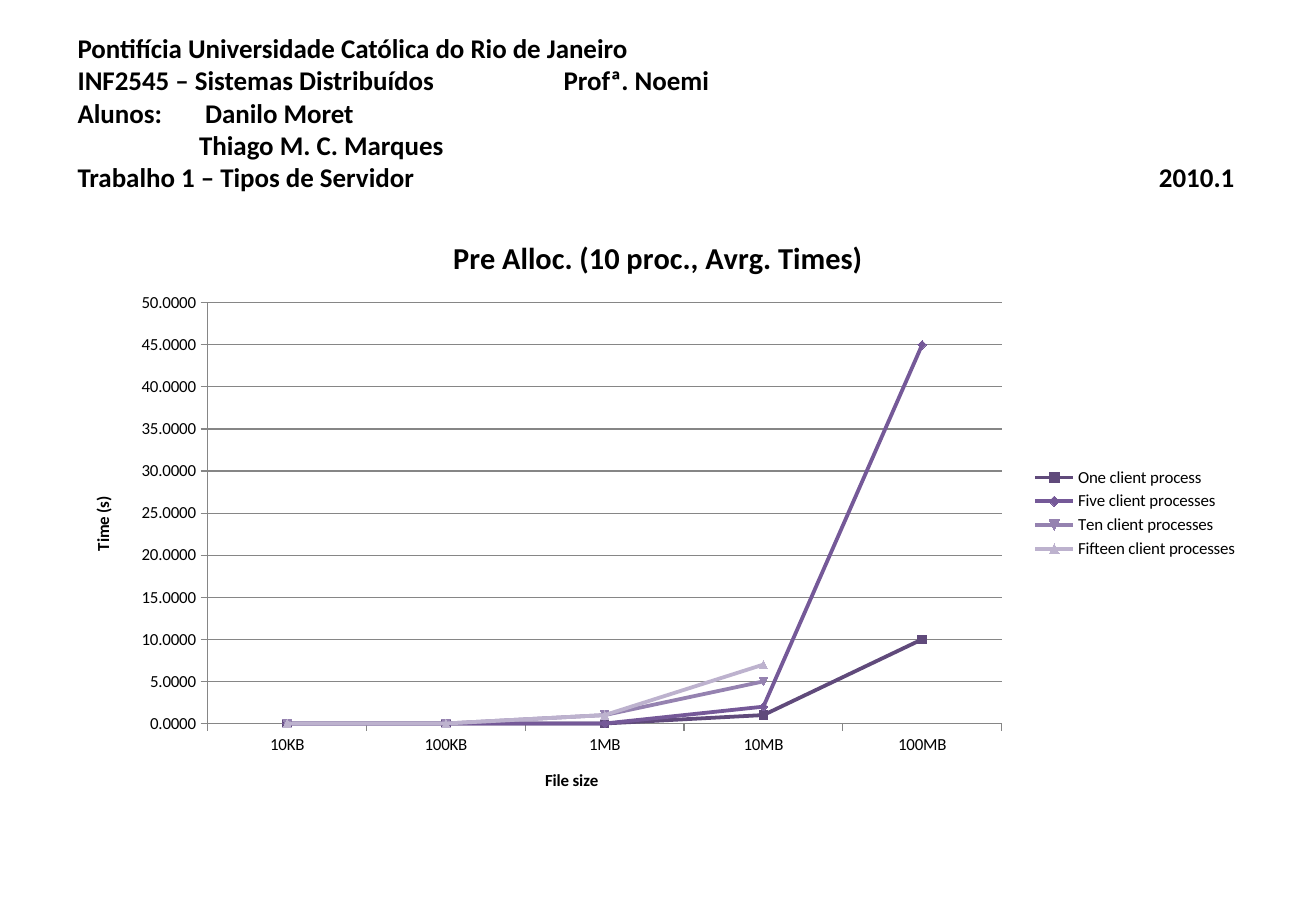
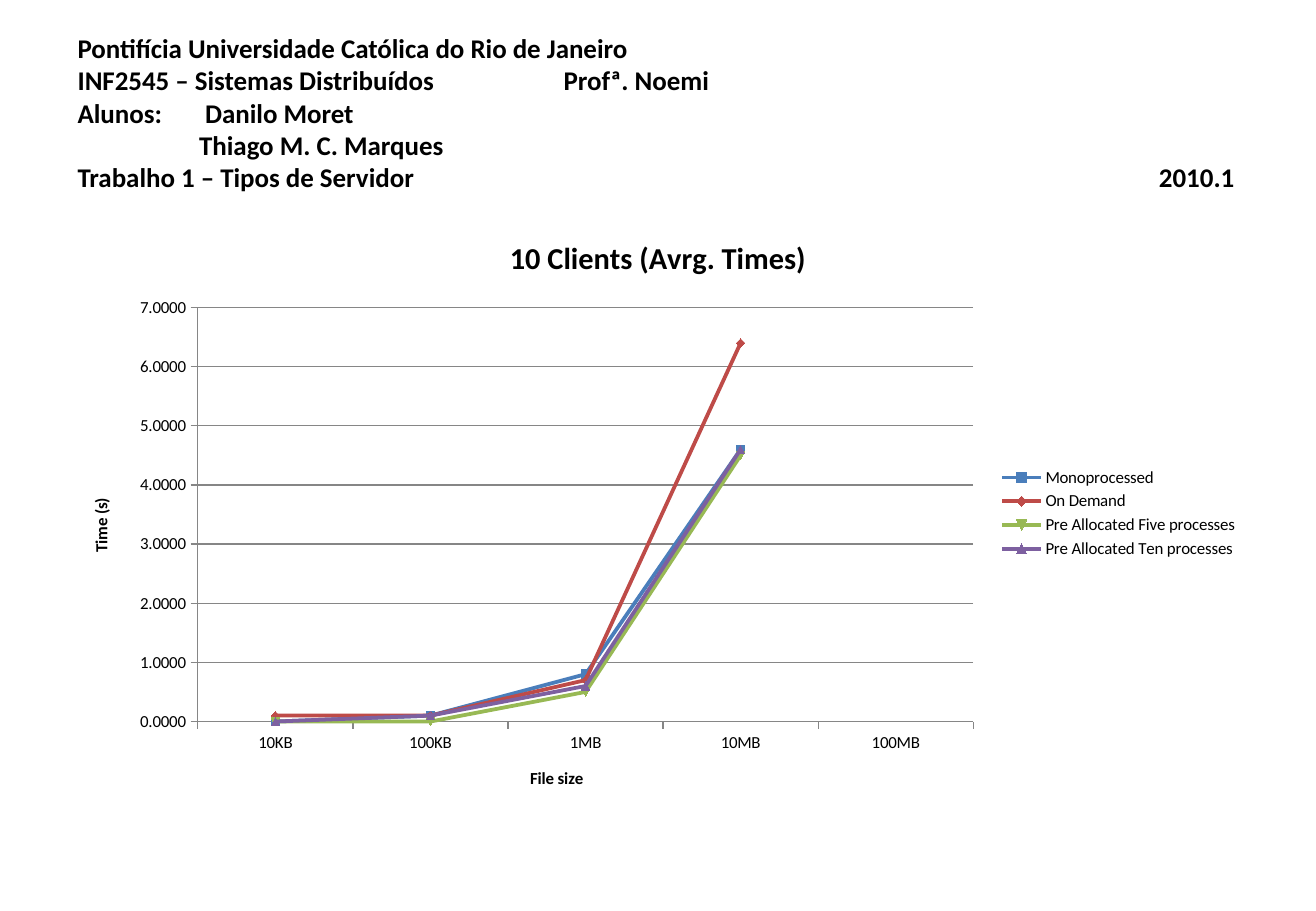
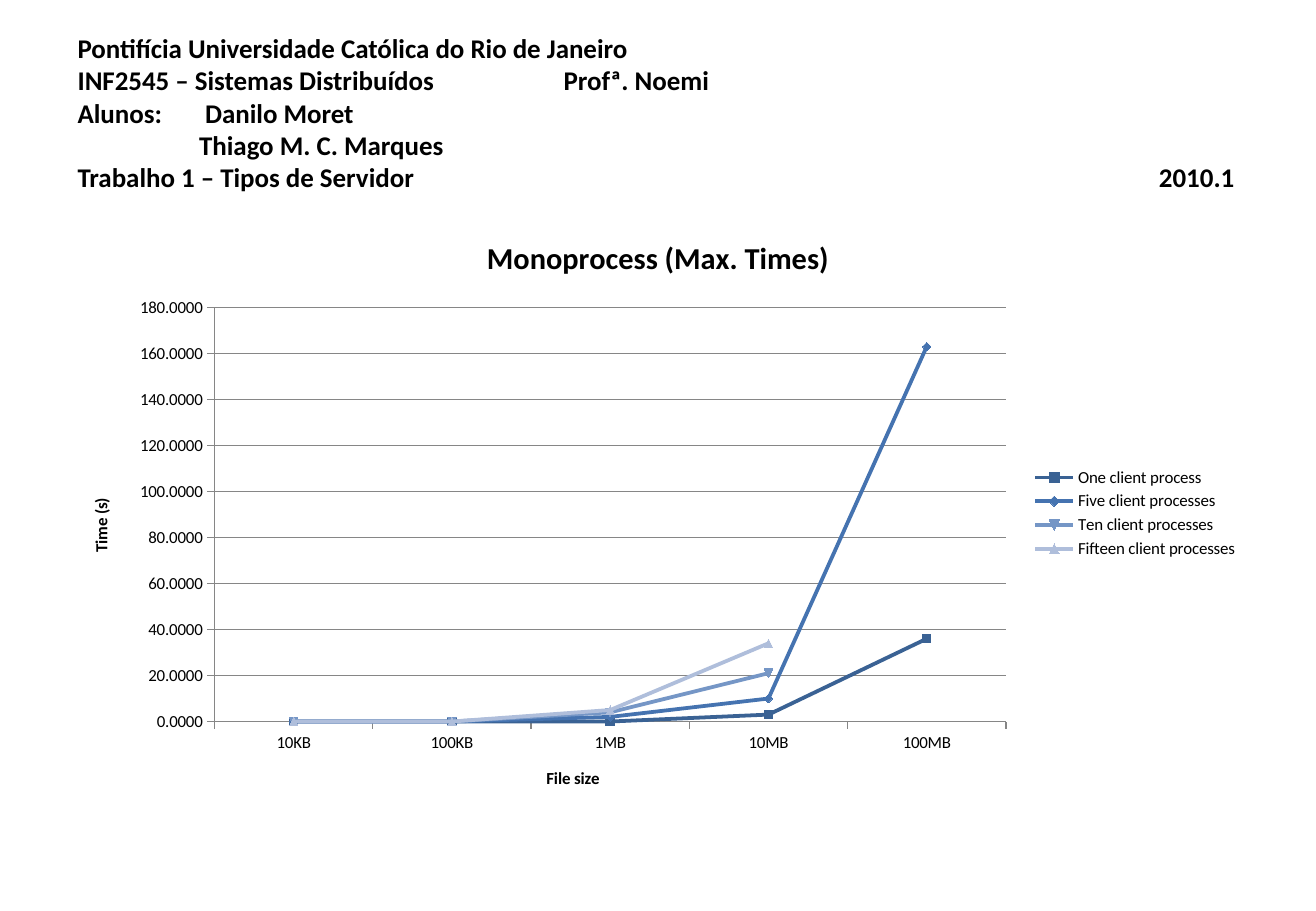
"""Build three slides of server timing charts under one shared course header."""
from lxml import etree
from pptx import Presentation
from pptx.chart.data import CategoryChartData
from pptx.dml.color import RGBColor
from pptx.enum import chart as ch, text as tx
from pptx.oxml.ns import qn
from pptx.util import Inches, Pt


class Theme:
    font = "Calibri"
    ink = "000000"
    grid = "868686"
    head = 16
    title = 18
    body = 10
    purple = ["604A7B", "755998", "9582B0", "BDB2CE"]
    mixed = ["4A7EBB", "BE4B48", "98B954", "7D60A0"]
    blue = ["3A6294", "4573B0", "7596C6", "AFBEDB"]


def style(font, size, bold=False):
    font.name = Theme.font
    font.size = Pt(size)
    font.bold = bold
    font.color.rgb = RGBColor.from_string(Theme.ink)


def rule(line, color, width):
    line.color.rgb = RGBColor.from_string(color)
    line.width = Pt(width)


header = [
    ("Pontifícia Universidade Católica do Rio de Janeiro", None, "l"),
    ("INF2545 – Sistemas Distribuídos\tProfª. Noemi", 4, "l"),
    ("Alunos:\tDanilo Moret", 1.05, "l"),
    ("\tThiago M. C. Marques", 1, "l"),
    ("Trabalho 1 – Tipos de Servidor\t2010.1", 9.52, "r"),
]
sizes = ["10KB", "100KB", "1MB", "10MB", "100MB"]
clients = ["One client process", "Five client processes",
           "Ten client processes", "Fifteen client processes"]
servers = ["Monoprocessed", "On Demand",
           "Pre Allocated Five processes", "Pre Allocated Ten processes"]
charts = [
    ("Pre Alloc. (10 proc., Avrg. Times)", clients, Theme.purple, 50, 5,
     {"x": 0.12, "y": 0.15, "w": 0.67, "h": 0.7}, [
         [0, 0, 0, 1, 10],
         [0, 0, 0, 2, 45],
         [0, 0, 1, 5, None],
         [0, 0, 1, 7, None]]),
    ("10 Clients (Avrg. Times)", servers, Theme.mixed, 7, 1, None, [
        [0, 0.1, 0.8, 4.6, None],
        [0.1, 0.1, 0.7, 6.4, None],
        [0, 0, 0.5, 4.5, None],
        [0, 0.1, 0.6, 4.6, None]]),
    ("Monoprocess (Max. Times)", clients, Theme.blue, 180, 20, None, [
        [0, 0, 0, 3, 36],
        [0, 0, 2, 10, 163],
        [0, 0, 4, 21, None],
        [0, 0, 5, 34, None]]),
]

deck = Presentation()
deck.slide_width = Inches(10.83)
deck.slide_height = Inches(7.5)
left, width = Inches(0.54), Inches(9.75)

for title, names, colors, top, step, place, rows in charts:
    slide = deck.slides.add_slide(deck.slide_layouts[6])

    box = slide.shapes.add_textbox(left, Inches(0.3), width, Inches(1.25))
    frame = box.text_frame
    frame.word_wrap = True
    frame.vertical_anchor = tx.MSO_ANCHOR.MIDDLE
    frame.text = "\n".join(line for line, stop, side in header)
    for para, (line, stop, side) in zip(frame.paragraphs, header):
        if stop:
            tabs = etree.SubElement(para._p.get_or_add_pPr(), qn("a:tabLst"))
            etree.SubElement(tabs, qn("a:tab"), pos=str(Inches(stop)), algn=side)
        for run in para.runs:
            style(run.font, Theme.head, True)

    data = CategoryChartData(number_format="0.0000")
    data.categories = sizes
    for name, row in zip(names, rows):
        data.add_series(name, row)
    chart = slide.shapes.add_chart(
        ch.XL_CHART_TYPE.LINE_MARKERS, left, Inches(1.75), width, Inches(4.95), data).chart
    style(chart.font, Theme.body)
    chart.has_title = True
    chart.chart_title.include_in_layout = False
    chart.has_legend = True
    chart.legend.position = ch.XL_LEGEND_POSITION.RIGHT
    chart.legend.include_in_layout = False

    cat, val = chart.category_axis, chart.value_axis
    heads = [(chart.chart_title, title, Theme.title),
             (cat.axis_title, "File size", Theme.body),
             (val.axis_title, "Time (s)", Theme.body)]
    for head, words, size in heads:
        head.text_frame.text = words
        style(head.text_frame.paragraphs[0].runs[0].font, size, True)
    for axis in (cat, val):
        axis.major_tick_mark = ch.XL_TICK_MARK.OUTSIDE
        axis.minor_tick_mark = ch.XL_TICK_MARK.NONE
        rule(axis.format.line, Theme.grid, 0.75)
    val.minimum_scale, val.maximum_scale, val.major_unit = 0, top, step
    val.has_major_gridlines = True
    rule(val.major_gridlines.format.line, Theme.grid, 0.75)
    val.tick_labels.number_format = "0.0000"
    val.tick_labels.number_format_is_linked = False

    if place:
        area = chart._chartSpace.find(".//" + qn("c:plotArea"))
        for old in area.findall(qn("c:layout")):
            area.remove(old)
        layout = etree.Element(qn("c:layout"))
        area.insert(0, layout)
        manual = etree.SubElement(layout, qn("c:manualLayout"))
        marks = {"layoutTarget": "inner", "xMode": "edge", "yMode": "edge", **place}
        for tag, mark in marks.items():
            etree.SubElement(manual, qn("c:" + tag), val=str(mark))

    plot = chart.plots[0]
    plot.vary_by_categories = False
    for line, color in zip(plot.series, colors):
        line.smooth = False
        rule(line.format.line, color, 2.25)
        line.marker.size = 5
        line.marker.format.fill.solid()
        line.marker.format.fill.fore_color.rgb = RGBColor.from_string(color)
        rule(line.marker.format.line, color, 0.75)

deck.save("out.pptx")
